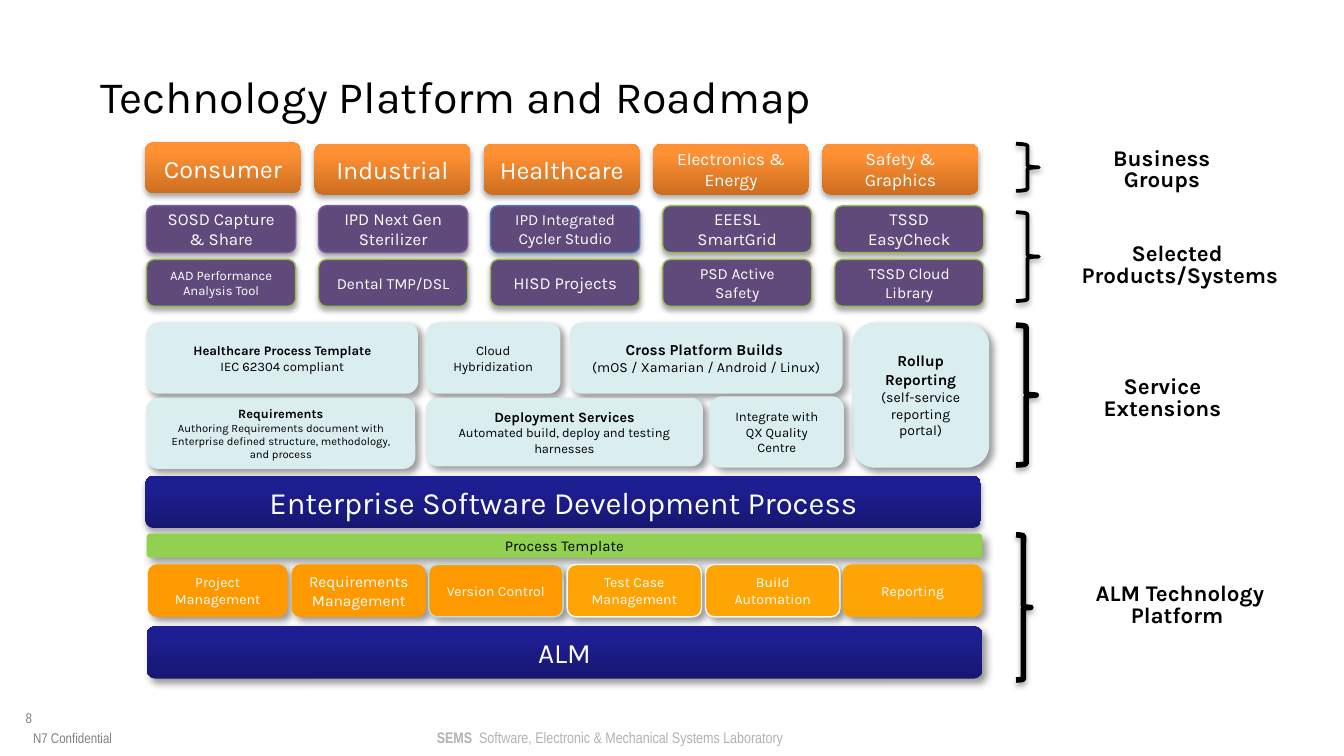
"""Build the technology platform and roadmap slide."""
from dataclasses import dataclass
from typing import NamedTuple

from lxml.etree import SubElement
from pptx import Presentation
from pptx.dml.color import RGBColor
from pptx.enum.shapes import MSO_SHAPE
from pptx.enum.text import MSO_ANCHOR, MSO_AUTO_SIZE, PP_ALIGN
from pptx.oxml.ns import qn
from pptx.util import Inches, Pt

BLACK = RGBColor(0x00, 0x00, 0x00)
WHITE = RGBColor(0xFF, 0xFF, 0xFF)
GRAY = RGBColor(0x80, 0x80, 0x80)
SILVER = RGBColor(0xB2, 0xB2, 0xB2)
ORANGE = (RGBColor(0xCC, 0x6E, 0x20), RGBColor(0xFF, 0x90, 0x34))
NAVY = (RGBColor(0x17, 0x17, 0x71), RGBColor(0x1E, 0x1E, 0x93))
PURPLE = RGBColor(0x60, 0x4A, 0x7B)
VIOLET = RGBColor(0x7D, 0x60, 0xA0)
BLUE = RGBColor(0x4B, 0x7E, 0xBC)
OLIVE = RGBColor(0x98, 0xB9, 0x55)
ICE = RGBColor(0xDA, 0xED, 0xEF)
GREEN = RGBColor(0x92, 0xD0, 0x50)
AMBER = RGBColor(0xFF, 0x99, 0x00)
GOLD = RGBColor(0xFF, 0xA4, 0x05)
PALE = RGBColor(0xF9, 0xF9, 0xF9)
TEAL = RGBColor(0xB6, 0xDC, 0xDF)

BODY_FONT, FOOT_FONT = "Karla", "Arial Narrow"


class Shadow(NamedTuple):
    alpha: int
    blur: float
    dist: float
    angle: int


SOFT = Shadow(35, 3.1, 1.8, 90)
DEEP = Shadow(40, 4, 3, 45)


class Line(NamedTuple):
    text: str
    size: float
    bold: bool = False


@dataclass
class Card:
    at: tuple
    lines: list
    fill: object
    color: RGBColor = WHITE
    border: RGBColor | None = None
    shadow: Shadow = DEEP


@dataclass
class Label:
    at: tuple
    lines: list


@dataclass
class Footer:
    at: tuple
    lines: list
    color: RGBColor
    align: PP_ALIGN = PP_ALIGN.LEFT
    anchor: MSO_ANCHOR = MSO_ANCHOR.TOP


BUSINESS = [("Consumer", 13.5), ("Industrial", 13.5), ("Healthcare", 13.5),
            ("Electronics & Energy", 9.3), ("Safety & Graphics", 9.4)]
PRODUCTS = [
    [("SOSD Capture & Share", 9, VIOLET), ("IPD Next Gen Sterilizer", 9, VIOLET),
     ("IPD Integrated Cycler Studio", 8.3, BLUE), ("EEESL SmartGrid", 9, OLIVE),
     ("TSSD EasyCheck", 9, OLIVE)],
    [("AAD Performance Analysis Tool", 7, OLIVE), ("Dental TMP/DSL", 8.3, OLIVE),
     ("HISD Projects", 9, OLIVE), ("PSD Active Safety", 8.3, OLIVE),
     ("TSSD Cloud Library", 8.3, OLIVE)],
]
SERVICES = [
    ((1.09, 2.4, 2.02, 0.53), [Line("Healthcare Process Template", 7, True),
                               Line("IEC 62304 compliant", 7)]),
    ((3.17, 2.4, 1, 0.53), [Line("Cloud Hybridization", 7)]),
    ((4.24, 2.4, 2.03, 0.53), [Line("Cross Platform Builds ", 8.2, True),
                               Line("(mOS / Xamarian / Android / Linux)", 7.5)]),
    ((6.34, 2.4, 1.02, 1.08), [Line("Rollup Reporting", 8.2, True),
                               Line("(self-service reporting portal)", 7.5)]),
    ((1.09, 2.96, 2, 0.53), [
        Line("Requirements", 6.8, True),
        Line("Authoring Requirements document with Enterprise defined structure, "
             "methodology, and process", 6)]),
    ((3.17, 2.96, 2.06, 0.51), [Line("Deployment Services", 7.6, True),
                                Line("Automated build, deploy and testing harnesses", 6.9)]),
    ((5.28, 2.95, 1, 0.53), [Line("Integrate with QX Quality Centre", 7)]),
]
COMPONENTS = [
    (1.1, 1.04, "Project Management", 7.5, AMBER, None),
    (2.17, 1, "Requirements Management", 8.3, AMBER, None),
    (3.19, 1, "Version Control", 7.5, AMBER, TEAL),
    (4.22, 1, "Test Case Management", 7.5, GOLD, PALE),
    (5.25, 1, "Build Automation", 7.5, GOLD, PALE),
    (6.27, 1.04, "Reporting", 7.5, GOLD, None),
]
CARDS = [
    *[Card((1.08 + 1.26 * i, 1.07 if i else 1.06, 1.16, 0.38), [Line(text, size)],
           ORANGE, shadow=SOFT) for i, (text, size) in enumerate(BUSINESS)],
    *[Card((1.09 + 1.28 * i, 1.53 + 0.4 * j, 1.11, 0.35), [Line(text, size)],
           PURPLE, border=border, shadow=SOFT)
      for j, row in enumerate(PRODUCTS) for i, (text, size, border) in enumerate(row)],
    *[Card(at, lines, ICE, BLACK) for at, lines in SERVICES],
    Card((1.08, 3.54, 6.22, 0.39), [Line("Enterprise Software Development Process", 16.6)],
         NAVY, shadow=SOFT),
    Card((1.09, 3.97, 6.22, 0.18), [Line("Process Template", 8)], GREEN, BLACK),
    *[Card((x, 4.2, w, 0.39), [Line(text, size)], fill, border=border)
      for x, w, text, size, fill, border in COMPONENTS],
    Card((1.09, 4.66, 6.22, 0.39), [Line("ALM", 15)], NAVY),
]
BRACES = [((7.56, 1.07, 0.17, 0.35), 2), ((7.56, 1.58, 0.17, 0.66), 2),
          ((7.56, 2.42, 0.15, 1.04), 3), ((7.56, 3.98, 0.11, 1.08), 3)]
LABELS = [
    Label((8.06, 1.06, 1.17, 0.42), [Line("Business Groups", 12, True)]),
    Label((7.9, 1.77, 1.76, 0.42), [Line("Selected ", 12, True),
                                    Line("Products/Systems", 12, True)]),
    Label((7.9, 2.76, 1.5, 0.42), [Line("Service Extensions", 12, True)]),
    Label((7.93, 4.3, 1.7, 0.42), [Line("ALM Technology", 12, True),
                                   Line("Platform ", 12, True)]),
]
FOOTERS = [
    Footer((0.19, 5.28, 0.53, 0.19), [Line("8", 7.5)], GRAY),
    Footer((3.25, 5.42, 2.62, 0.14),
           [Line("SEMS ", 8.2, True),
            Line(" Software, Electronic & Mechanical Systems Laboratory", 8.2)], SILVER),
    Footer((0.08, 5.39, 0.92, 0.16), [Line("N7 Confidential", 7.5)], GRAY,
           PP_ALIGN.CENTER, MSO_ANCHOR.BOTTOM),
]


def set_all(obj, **values) -> None:
    for name, value in values.items():
        setattr(obj, name, value)


def no_margins(tf) -> None:
    set_all(tf, margin_left=0, margin_right=0, margin_top=0, margin_bottom=0)


def add_run(p, line: Line, color: RGBColor, font: str = BODY_FONT) -> None:
    r = p.add_run()
    r.text = line.text
    set_all(r.font, name=font, size=Pt(line.size), bold=line.bold)
    r.font.color.rgb = color


def add_lines(tf, lines: list, color: RGBColor, spacing: float = 1.0) -> None:
    for i, line in enumerate(lines):
        p = tf.add_paragraph() if i else tf.paragraphs[0]
        set_all(p, alignment=PP_ALIGN.CENTER, line_spacing=spacing)
        add_run(p, line, color)


def add_shadow(sp, shadow: Shadow) -> None:
    sp.shadow.inherit = False
    effects = sp._element.spPr.find(qn("a:effectLst"))
    outer = SubElement(effects, qn("a:outerShdw"), blurRad=str(Pt(shadow.blur)),
                       dist=str(Pt(shadow.dist)), dir=str(shadow.angle * 60000),
                       rotWithShape="0")
    clr = SubElement(outer, qn("a:srgbClr"), val=str(BLACK))
    SubElement(clr, qn("a:alpha"), val=str(shadow.alpha * 1000))


def add_card(s, card: Card) -> None:
    sp = s.shapes.add_shape(MSO_SHAPE.ROUNDED_RECTANGLE, *map(Inches, card.at))
    if isinstance(card.fill, RGBColor):
        sp.fill.solid()
        sp.fill.fore_color.rgb = card.fill
    else:
        sp.fill.gradient()
        sp.fill.gradient_angle = 90
        for stop, color, position in zip(sp.fill.gradient_stops, card.fill, (0, 0.8)):
            set_all(stop, position=position)
            stop.color.rgb = color
    if card.border is None:
        sp.line.fill.background()
    else:
        sp.line.color.rgb = card.border
        sp.line.width = Pt(0.75)
    add_shadow(sp, card.shadow)
    set_all(sp.text_frame, word_wrap=True, vertical_anchor=MSO_ANCHOR.MIDDLE)
    add_lines(sp.text_frame, card.lines, card.color)


def add_brace(s, at: tuple, weight: float) -> None:
    sp = s.shapes.add_shape(MSO_SHAPE.RIGHT_BRACE, *map(Inches, at))
    sp.fill.background()
    sp.line.color.rgb = BLACK
    sp.line.width = Pt(weight)
    add_shadow(sp, SOFT)


def add_label(s, label: Label) -> None:
    tf = s.shapes.add_textbox(*map(Inches, label.at)).text_frame
    set_all(tf, word_wrap=True, auto_size=MSO_AUTO_SIZE.SHAPE_TO_FIT_TEXT)
    add_lines(tf, label.lines, BLACK, 0.8)


def add_footer(s, footer: Footer) -> None:
    tf = s.shapes.add_textbox(*map(Inches, footer.at)).text_frame
    no_margins(tf)
    set_all(tf, word_wrap=footer.align == PP_ALIGN.CENTER, vertical_anchor=footer.anchor)
    p = tf.paragraphs[0]
    p.alignment = footer.align
    for line in footer.lines:
        add_run(p, line, footer.color, FOOT_FONT)


def main() -> None:
    prs = Presentation()
    set_all(prs, slide_width=Inches(10), slide_height=Inches(10) * 9 // 16)
    s = prs.slides.add_slide(prs.slide_layouts[5])
    title = s.shapes.title
    set_all(title, left=Inches(0.75), top=Inches(0.51), width=Inches(9), height=Inches(0.43))
    no_margins(title.text_frame)
    title.text_frame.vertical_anchor = MSO_ANCHOR.TOP
    p = title.text_frame.paragraphs[0]
    p.alignment = PP_ALIGN.LEFT
    add_run(p, Line("Technology Platform and Roadmap", 24), BLACK)
    for card in CARDS:
        add_card(s, card)
    for at, weight in BRACES:
        add_brace(s, at, weight)
    for label in LABELS:
        add_label(s, label)
    for footer in FOOTERS:
        add_footer(s, footer)
    prs.save("out.pptx")


if __name__ == "__main__":
    main()
